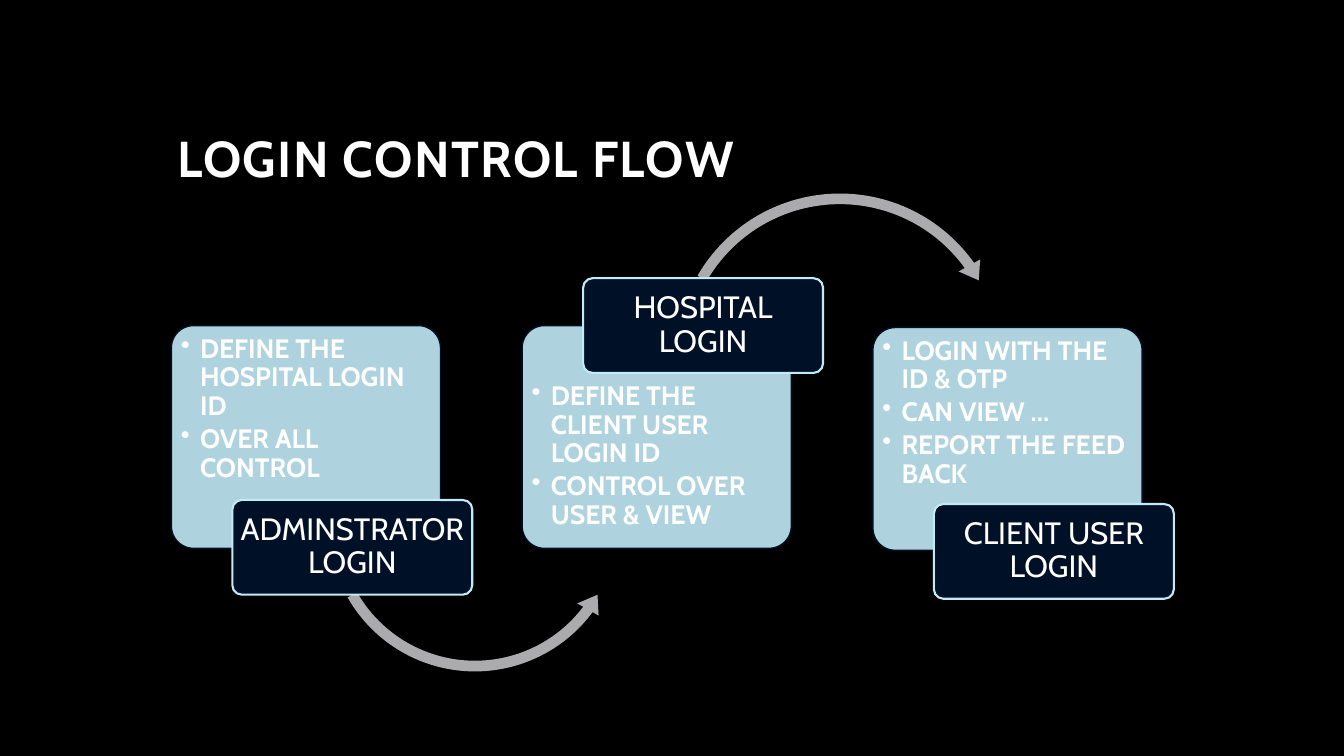
from dataclasses import dataclass

from pptx import Presentation
from pptx.dml.color import RGBColor
from pptx.enum.shapes import MSO_SHAPE
from pptx.enum.text import MSO_ANCHOR, MSO_AUTO_SIZE, PP_ALIGN
from pptx.oxml.ns import qn
from pptx.oxml.xmlchemy import OxmlElement
from pptx.shapes.autoshape import Shape
from pptx.slide import Slide
from pptx.text.text import TextFrame, _Paragraph
from pptx.util import Inches, Length, Pt

BLACK = RGBColor(0x00, 0x00, 0x00)
WHITE = RGBColor(0xFF, 0xFF, 0xFF)
NAVY = RGBColor(0x00, 0x10, 0x27)
PALE_BLUE = RGBColor(0xC1, 0xEB, 0xF7)
GREY = RGBColor(0xAB, 0xAB, 0xAD)

FONT = "Cabin"
SLIDE_WIDTH, SLIDE_HEIGHT = Inches(13.333), Inches(7.5)

# Positions and sizes are percentages of the slide's width and height
CARD_LEFT, CARD_PITCH = 12.75, 26.1
CARD_SIZE = (20.03, 29.47)
LABEL_SHIFT = 4.54
LABEL_SIZE = (17.85, 12.53)


@dataclass(frozen=True)
class Step:
    label: str
    bullets: tuple[str, ...]
    card_top: float
    label_top: float
    text_inset: float  # inches above the first bullet


@dataclass(frozen=True)
class Arrow:
    kind: MSO_SHAPE
    place: tuple[float, float, float, float]
    adjustments: tuple[float, ...]


STEPS = (
    Step("ADMINSTRATOR LOGIN",
         ("DEFINE THE HOSPITAL LOGIN ID", "OVER ALL CONTROL"),
         43.07, 66.13, 0.03),
    Step("HOSPITAL LOGIN",
         ("DEFINE THE CLIENT USER LOGIN ID", "CONTROL OVER USER & VIEW"),
         43.07, 36.8, 0.5),
    Step("CLIENT USER LOGIN",
         ("LOGIN WITH THE ID & OTP", "CAN VIEW …", "REPORT THE FEED BACK"),
         43.33, 66.67, 0.03),
)
ARROWS = (
    Arrow(MSO_SHAPE.LEFT_CIRCULAR_ARROW, (23.93, 49.2, 22.81, 40.53),
          (0.035, 4.28, 22.03, 90.25, 0.04)),
    Arrow(MSO_SHAPE.CIRCULAR_ARROW, (49.74, 24.67, 25.51, 45.33),
          (0.031, 3.79, 194.7, 125.99, 0.036)),
)


def across(percent: float) -> Length:
    return Length(round(SLIDE_WIDTH * percent / 100))


def down(percent: float) -> Length:
    return Length(round(SLIDE_HEIGHT * percent / 100))


def add_block(page: Slide, kind: MSO_SHAPE,
              place: tuple[float, float, float, float], fill: RGBColor) -> Shape:
    left, top, width, height = place
    block = page.shapes.add_shape(
        kind, across(left), down(top), across(width), down(height))
    block.shadow.inherit = False
    block.fill.solid()
    block.fill.fore_color.rgb = fill
    block.line.fill.background()
    return block


def add_rounded(page: Slide, place: tuple[float, float, float, float],
                fill: RGBColor, outline: RGBColor, weight: float) -> Shape:
    box = add_block(page, MSO_SHAPE.ROUNDED_RECTANGLE, place, fill)
    box.adjustments[0] = 0.1
    box.line.color.rgb = outline
    box.line.width = Pt(weight)
    return box


def set_margins(frame: TextFrame, side: float, top: float, bottom: float) -> None:
    frame.word_wrap = True
    frame.margin_left = frame.margin_right = Inches(side)
    frame.margin_top, frame.margin_bottom = Inches(top), Inches(bottom)


def format_para(para: _Paragraph, size: float, bold: bool, align: PP_ALIGN) -> None:
    para.alignment = align
    para.line_spacing = 0.9
    para.font.name = FONT
    para.font.size = Pt(size)
    para.font.bold = bold
    para.font.color.rgb = WHITE


def add_bullet(para: _Paragraph) -> None:
    """Give a paragraph a hanging bullet; call before its font is set."""
    properties = para._p.get_or_add_pPr()
    properties.set("marL", str(Inches(0.19)))
    properties.set("indent", str(-Inches(0.19)))
    mark = OxmlElement("a:buChar")
    mark.set("char", "•")
    properties.append(mark)


def add_title(page: Slide) -> None:
    title = page.shapes.title
    title.left, title.top = across(12.45), down(5.6)
    title.width, title.height = across(75), down(20)
    frame = title.text_frame
    frame.text = "LOGIN CONTROL FLOW"
    frame.word_wrap = True
    frame.auto_size = MSO_AUTO_SIZE.NONE
    frame.vertical_anchor = MSO_ANCHOR.BOTTOM
    para = frame.paragraphs[0]
    format_para(para, 36, True, PP_ALIGN.LEFT)
    para.runs[0]._r.get_or_add_rPr().set("spc", "100")


def add_card(page: Slide, step: Step, left: float) -> None:
    card = add_rounded(page, (left, step.card_top, *CARD_SIZE), PALE_BLUE, NAVY, 1)
    alpha = OxmlElement("a:alpha")
    alpha.set("val", "90000")
    card._element.spPr.find(qn("a:solidFill"))[0].append(alpha)
    frame = card.text_frame
    set_margins(frame, 0.03, step.text_inset, 0.03)
    frame.vertical_anchor = MSO_ANCHOR.TOP
    frame.text = "\n".join(step.bullets)
    for para in frame.paragraphs:
        add_bullet(para)
        format_para(para, 19, True, PP_ALIGN.LEFT)
        para.space_after = Pt(3)


def add_label(page: Slide, step: Step, left: float) -> None:
    label = add_rounded(page, (left, step.label_top, *LABEL_SIZE), NAVY, PALE_BLUE, 1.5)
    frame = label.text_frame
    set_margins(frame, 0.05, 0.03, 0.03)
    frame.vertical_anchor = MSO_ANCHOR.MIDDLE
    frame.text = step.label
    format_para(frame.paragraphs[0], 22, False, PP_ALIGN.CENTER)


def add_arrow(page: Slide, arrow: Arrow) -> None:
    block = add_block(page, arrow.kind, arrow.place, GREY)
    for index, value in enumerate(arrow.adjustments):
        block.adjustments[index] = value


def main() -> None:
    deck = Presentation()
    deck.slide_width, deck.slide_height = SLIDE_WIDTH, SLIDE_HEIGHT
    page = deck.slides.add_slide(deck.slide_layouts.get_by_name("Title Only"))
    page.background.fill.solid()
    page.background.fill.fore_color.rgb = BLACK
    add_title(page)

    # Each step: its card, the arrow to the next step, then its label on top
    for index, step in enumerate(STEPS):
        left = CARD_LEFT + index * CARD_PITCH
        add_card(page, step, left)
        if index < len(ARROWS):
            add_arrow(page, ARROWS[index])
        add_label(page, step, left + LABEL_SHIFT)

    deck.save("out.pptx")


if __name__ == "__main__":
    main()
